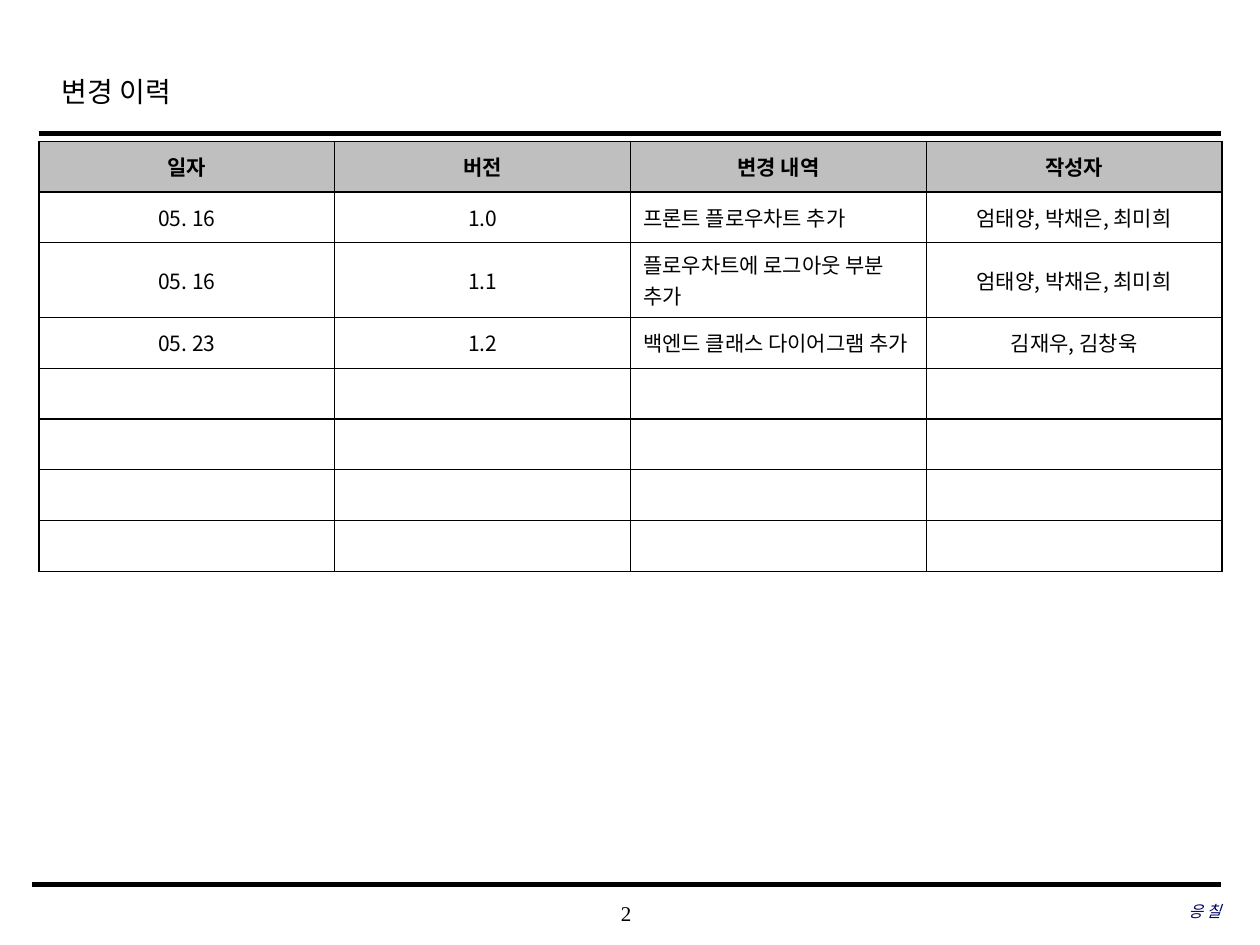
from lxml import etree
from pptx import Presentation
from pptx.dml.color import RGBColor
from pptx.enum.shapes import MSO_CONNECTOR
from pptx.enum.text import MSO_ANCHOR, PP_ALIGN
from pptx.oxml.ns import qn
from pptx.util import Inches, Pt

LEFT, CENTER, RIGHT = PP_ALIGN.LEFT, PP_ALIGN.CENTER, PP_ALIGN.RIGHT
TOP, MIDDLE = MSO_ANCHOR.TOP, MSO_ANCHOR.MIDDLE
STRAIGHT = MSO_CONNECTOR.STRAIGHT

TITLE = "변경 이력"
HEADERS = ["일자", "버전", "변경 내역", "작성자"]
CHANGES = [
    ["05. 16", "1.0", "프론트 플로우차트 추가", "엄태양, 박채은, 최미희"],
    ["05. 16", "1.1", "플로우차트에 로그아웃 부분 추가", "엄태양, 박채은, 최미희"],
    ["05. 23", "1.2", "백엔드 클래스 다이어그램 추가", "김재우, 김창욱"],
]
BLANK_ROWS = 4
FOOTERS = [
    ("2", (3.93, 7.08, 2.08, 0.33), CENTER, 12, "ink", False),
    ("응 칠", (6.63, 7.07, 3.06, 0.33), RIGHT, 9, "navy", True),
]
RULES = [(0.31, 1.06, 2.5), (0.25, 7.02, 3)]
RULE_END = 9.69
TABLE_BOX = (0.31, 1.12, 9.39, 3.42)
TWO_LINE_ROW, TWO_LINE_HEIGHT = 2, 0.59
ALIGNS = [CENTER, CENTER, LEFT, CENTER]
COLORS = {"ink": "000000", "navy": "000066", "header": "BFBFBF", "paper": "FFFFFF"}
SERIF, SANS = "Times New Roman", "Noto Sans CJK KR"


def rgb(name):
    return RGBColor.from_string(COLORS[name])


def write(tf, text, size, font, align, color="ink", bold=False, italic=False):
    p = tf.paragraphs[0]
    p.text = text
    p.alignment = align
    f = p.font
    f.size, f.name, f.bold, f.italic = Pt(size), font, bold, italic
    f.color.rgb = rgb(color)
    props = p._p.get_or_add_pPr().find(qn("a:defRPr"))
    etree.SubElement(props, qn("a:ea")).set("typeface", SANS)
    return p


def add_borders(cell):
    props = cell._tc.get_or_add_tcPr()
    for i, side in enumerate(("lnL", "lnR", "lnT", "lnB")):
        ln = etree.Element(qn(f"a:{side}"), w=str(Pt(0.75)))
        fill = etree.SubElement(ln, qn("a:solidFill"))
        etree.SubElement(fill, qn("a:srgbClr")).set("val", COLORS["ink"])
        props.insert(i, ln)


prs = Presentation()
prs.slide_width, prs.slide_height = Inches(10), Inches(7.5)
s = prs.slides.add_slide(prs.slide_layouts[5])

title = s.shapes.title
title.left, title.top, title.width, title.height = map(Inches, (0.39, 0.49, 7.55, 0.5))
title.text_frame.vertical_anchor = TOP
write(title.text_frame, TITLE, 16, SERIF, LEFT).line_spacing = 1.2

for x, y, weight in RULES:
    line = s.shapes.add_connector(STRAIGHT, Inches(x), Inches(y), Inches(RULE_END), Inches(y))
    line.line.color.rgb = rgb("ink")
    line.line.width = Pt(weight)
    etree.SubElement(line._element.spPr, qn("a:effectLst"))

for text, box, align, size, color, italic in FOOTERS:
    tf = s.shapes.add_textbox(*map(Inches, box)).text_frame
    tf.word_wrap = True
    tf.vertical_anchor = MIDDLE
    tf.margin_left = tf.margin_right = tf.margin_top = tf.margin_bottom = 0
    write(tf, text, size, SERIF, align, color, italic=italic)

rows = [HEADERS] + CHANGES + [[""] * len(HEADERS)] * BLANK_ROWS
table = s.shapes.add_table(len(rows), len(HEADERS), *map(Inches, TABLE_BOX)).table
row_height = (TABLE_BOX[3] - TWO_LINE_HEIGHT) / (len(rows) - 1)
for r, values in enumerate(rows):
    header = r == 0
    table.rows[r].height = Inches(TWO_LINE_HEIGHT if r == TWO_LINE_ROW else row_height)
    for c, text in enumerate(values):
        cell = table.cell(r, c)
        cell.fill.solid()
        cell.fill.fore_color.rgb = rgb("header" if header else "paper")
        cell.vertical_anchor = MIDDLE
        add_borders(cell)
        write(cell.text_frame, text, 12, SANS, CENTER if header else ALIGNS[c], bold=header)

prs.save("out.pptx")
